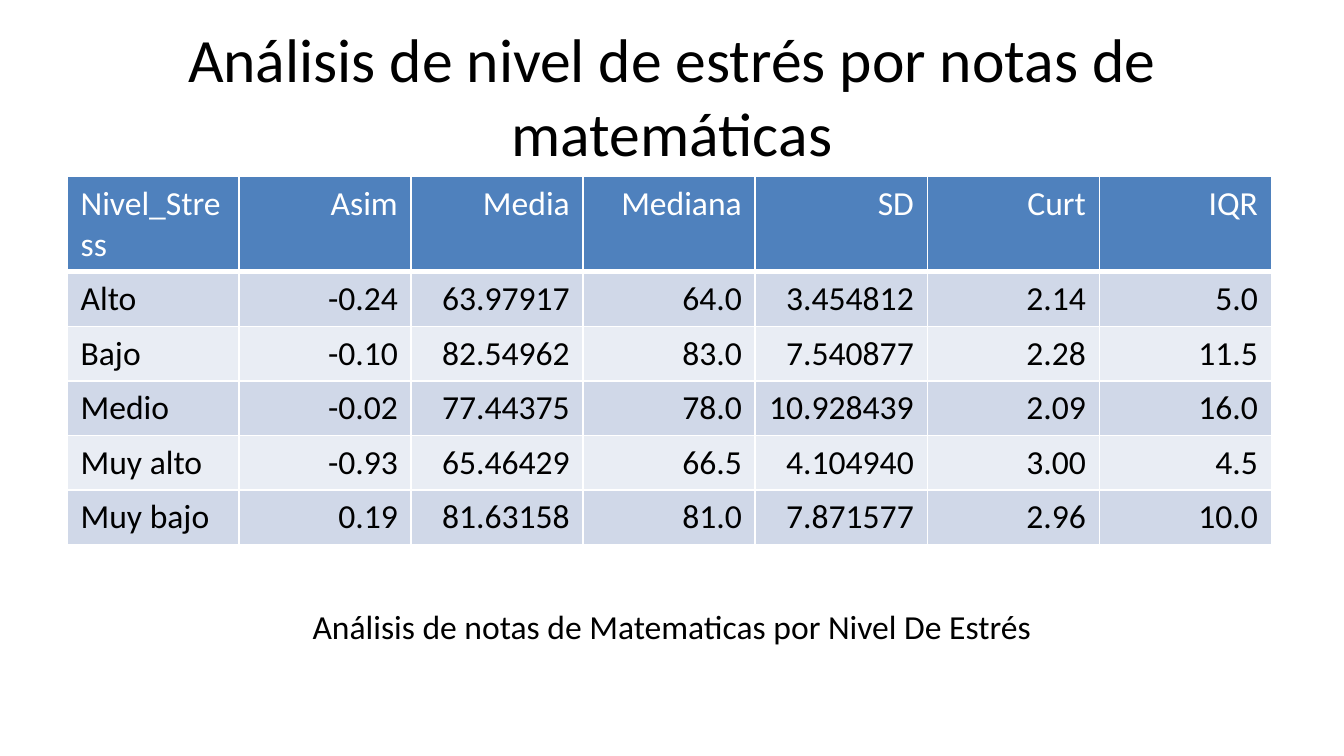
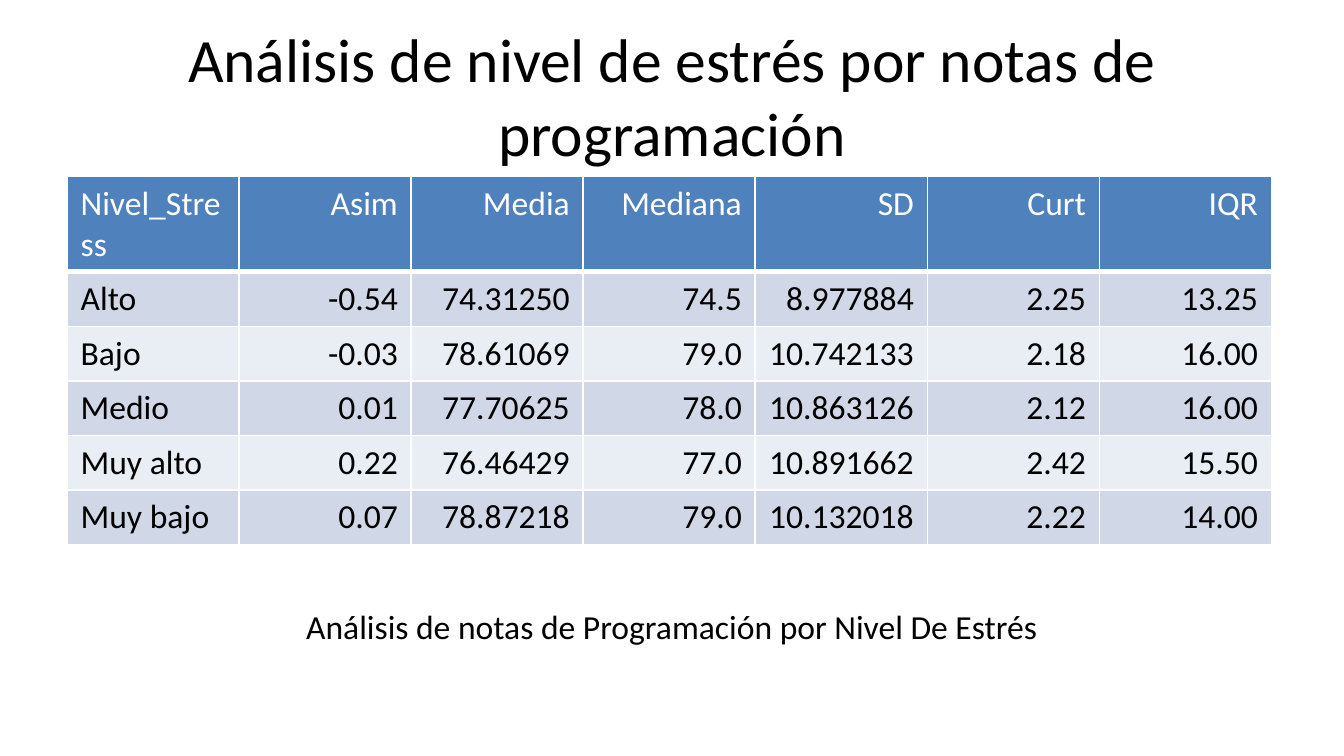
from dataclasses import dataclass

import pptx
import pptx.dml.color
import pptx.enum.text
import pptx.oxml
import pptx.oxml.ns
import pptx.presentation
import pptx.slide
import pptx.table
import pptx.text.text
import pptx.util

RGBColor = pptx.dml.color.RGBColor
Align = pptx.enum.text.PP_ALIGN
Anchor = pptx.enum.text.MSO_ANCHOR

# Colours and type
WHITE = RGBColor(0xFF, 0xFF, 0xFF)
BLACK = RGBColor(0x00, 0x00, 0x00)
HEADER_BLUE = RGBColor(0x4F, 0x81, 0xBD)
BANDS = (RGBColor(0xD0, 0xD8, 0xE8), RGBColor(0xE9, 0xED, 0xF4))
FONT = "Calibri"
TITLE_SIZE, TEXT_SIZE = 33, 18

# Slide grid: 20 columns by 24 rows
WIDTH = pptx.util.Inches(10)
HEIGHT = WIDTH * 9 // 16
COLUMN, ROW = WIDTH / 20, HEIGHT / 24
COLUMN_WIDTH = pptx.util.Inches(1.28)
TITLE_ONLY_LAYOUT = 5


@dataclass(frozen=True)
class Area:
    """A place on the slide, in grid columns and rows."""
    left: float
    top: float
    width: float
    height: float

    def box(self) -> tuple[int, int, int, int]:
        return (int(self.left * COLUMN), int(self.top * ROW),
                int(self.width * COLUMN), int(self.height * ROW))


@dataclass(frozen=True)
class GradeAnalysis:
    topic: str
    caption_topic: str
    rows: tuple[tuple[str, ...], ...]


TITLE_AREA = Area(1, 1, 18, 4)
TABLE_AREA = Area(1, 5.6, 18, 13.44)
CAPTION_AREA = Area(1, 19.04, 18, 2.4)

HEADINGS = ("Nivel_Stress", "Asim", "Media", "Mediana", "SD", "Curt", "IQR")
ANALYSES = (
    GradeAnalysis("matemáticas", "Matematicas", (
        ("Alto", "-0.24", "63.97917", "64.0", "3.454812", "2.14", "5.0"),
        ("Bajo", "-0.10", "82.54962", "83.0", "7.540877", "2.28", "11.5"),
        ("Medio", "-0.02", "77.44375", "78.0", "10.928439", "2.09", "16.0"),
        ("Muy alto", "-0.93", "65.46429", "66.5", "4.104940", "3.00", "4.5"),
        ("Muy bajo", "0.19", "81.63158", "81.0", "7.871577", "2.96", "10.0"),
    )),
    GradeAnalysis("programación", "Programación", (
        ("Alto", "-0.54", "74.31250", "74.5", "8.977884", "2.25", "13.25"),
        ("Bajo", "-0.03", "78.61069", "79.0", "10.742133", "2.18", "16.00"),
        ("Medio", "0.01", "77.70625", "78.0", "10.863126", "2.12", "16.00"),
        ("Muy alto", "0.22", "76.46429", "77.0", "10.891662", "2.42", "15.50"),
        ("Muy bajo", "0.07", "78.87218", "79.0", "10.132018", "2.22", "14.00"),
    )),
)


def write(frame: pptx.text.text.TextFrame, text: str, size: float,
          align: Align, color: RGBColor = BLACK) -> None:
    paragraph = frame.paragraphs[0]
    paragraph.alignment = align
    run = paragraph.add_run()
    run.text = text
    run.font.name = FONT
    run.font.size = pptx.util.Pt(size)
    run.font.bold = False
    run.font.color.rgb = color


def add_borders(cell: pptx.table._Cell, bottom: float) -> None:
    properties = cell._tc.get_or_add_tcPr()
    for side, points in (("L", 1), ("R", 1), ("T", 1), ("B", bottom)):
        properties.append(pptx.oxml.parse_xml(
            f'<a:ln{side} {pptx.oxml.ns.nsdecls("a")} w="{pptx.util.Pt(points)}">'
            f'<a:solidFill><a:srgbClr val="{WHITE}"/></a:solidFill></a:ln{side}>'))


def add_title(slide: pptx.slide.Slide, text: str) -> None:
    title = slide.shapes.title
    title.left, title.top, title.width, title.height = TITLE_AREA.box()
    title.text_frame.auto_size = pptx.enum.text.MSO_AUTO_SIZE.NONE
    title.text_frame.vertical_anchor = Anchor.MIDDLE
    write(title.text_frame, text, TITLE_SIZE, Align.CENTER)


def add_statistics(slide: pptx.slide.Slide, rows: tuple[tuple[str, ...], ...]) -> None:
    lines = (HEADINGS, *rows)
    frame = slide.shapes.add_table(len(lines), len(HEADINGS), *TABLE_AREA.box())
    table = frame.table
    for column in table.columns:
        column.width = COLUMN_WIDTH
    # Rows grow to fit their text
    for row in table.rows:
        row.height = 0
    frame.width, frame.height = TABLE_AREA.box()[2:]

    for row_index, line in enumerate(lines):
        is_header = row_index == 0
        for column_index, text in enumerate(line):
            cell = table.cell(row_index, column_index)
            add_borders(cell, bottom=3 if is_header else 1)
            cell.fill.solid()
            cell.fill.fore_color.rgb = HEADER_BLUE if is_header else BANDS[(row_index - 1) % 2]
            write(cell.text_frame, text, TEXT_SIZE,
                  Align.RIGHT if column_index else Align.LEFT,
                  WHITE if is_header else BLACK)


def add_caption(slide: pptx.slide.Slide, text: str) -> None:
    caption = slide.shapes.add_textbox(*CAPTION_AREA.box())
    caption.text_frame.word_wrap = True
    write(caption.text_frame, text, TEXT_SIZE, Align.CENTER)


def add_analysis(presentation: pptx.presentation.Presentation,
                 analysis: GradeAnalysis) -> None:
    slide = presentation.slides.add_slide(presentation.slide_layouts[TITLE_ONLY_LAYOUT])
    add_title(slide, f"Análisis de nivel de estrés por notas de {analysis.topic}")
    add_statistics(slide, analysis.rows)
    add_caption(slide, f"Análisis de notas de {analysis.caption_topic} por Nivel De Estrés")


def main() -> None:
    presentation = pptx.Presentation()
    presentation.slide_width, presentation.slide_height = WIDTH, HEIGHT
    for analysis in ANALYSES:
        add_analysis(presentation, analysis)
    presentation.save("out.pptx")


if __name__ == "__main__":
    main()
